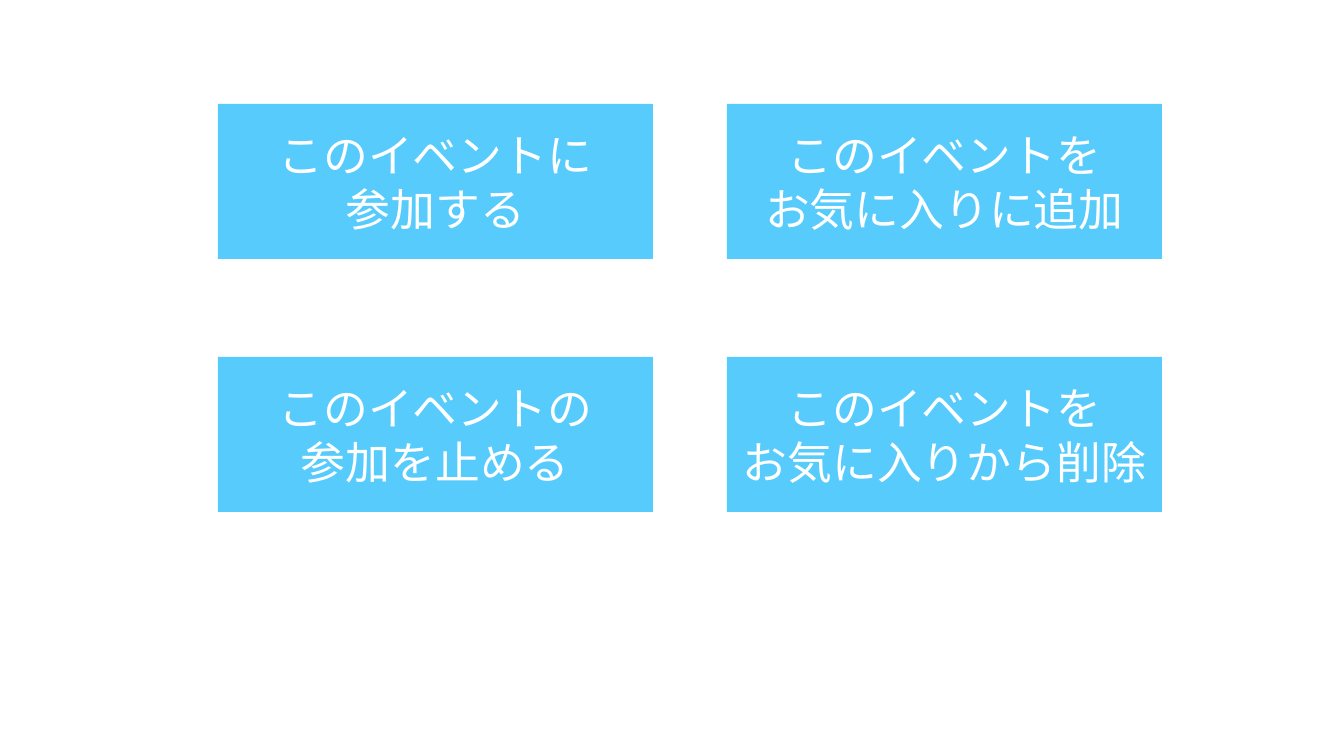
import pptx
import pptx.util
import pptx.dml.color
import pptx.enum.shapes
import pptx.enum.text
import pptx.oxml.ns
import lxml.etree

ROWS = [
    ["このイベントに\n参加する", "このイベントを\nお気に入りに追加"],
    ["このイベントの\n参加を止める", "このイベントを\nお気に入りから削除"],
]
FONT = "Noto Sans CJK JP"
BLUE, WHITE = "56CBFC", "FFFFFF"
LEFT, TOP = 218, 104
WIDE, HIGH = 435, 155
STEP_X, STEP_Y = 509, 253


def px(n):
    return pptx.util.Emu(round(n * 914400 / 100.8))


def color(text):
    return pptx.dml.color.RGBColor.from_string(text)


def style(run):
    """Set size, colour and both the Latin and East Asian font."""
    run.font.size = pptx.util.Pt(32)
    run.font.name = FONT
    run.font.color.rgb = color(WHITE)
    tag = pptx.oxml.ns.qn("a:ea")
    lxml.etree.SubElement(run.font._element, tag, typeface=FONT)


def button(slide, text, x, y):
    kind = pptx.enum.shapes.MSO_SHAPE.RECTANGLE
    box = slide.shapes.add_shape(kind, px(x), px(y), px(WIDE), px(HIGH))
    box.shadow.inherit = False
    box.fill.solid()
    box.fill.fore_color.rgb = color(BLUE)
    box.line.fill.background()
    frame = box.text_frame
    frame.word_wrap = True
    frame.vertical_anchor = pptx.enum.text.MSO_ANCHOR.MIDDLE
    frame.text = text
    for line in frame.paragraphs:
        line.alignment = pptx.enum.text.PP_ALIGN.CENTER
        for run in line.runs:
            style(run)


def main():
    deck = pptx.Presentation()
    deck.slide_width = px(1344)
    deck.slide_height = px(756)
    slide = deck.slides.add_slide(deck.slide_layouts[6])
    for r, row in enumerate(ROWS):
        for c, text in enumerate(row):
            button(slide, text, LEFT + c * STEP_X, TOP + r * STEP_Y)
    deck.save("out.pptx")


if __name__ == "__main__":
    main()
